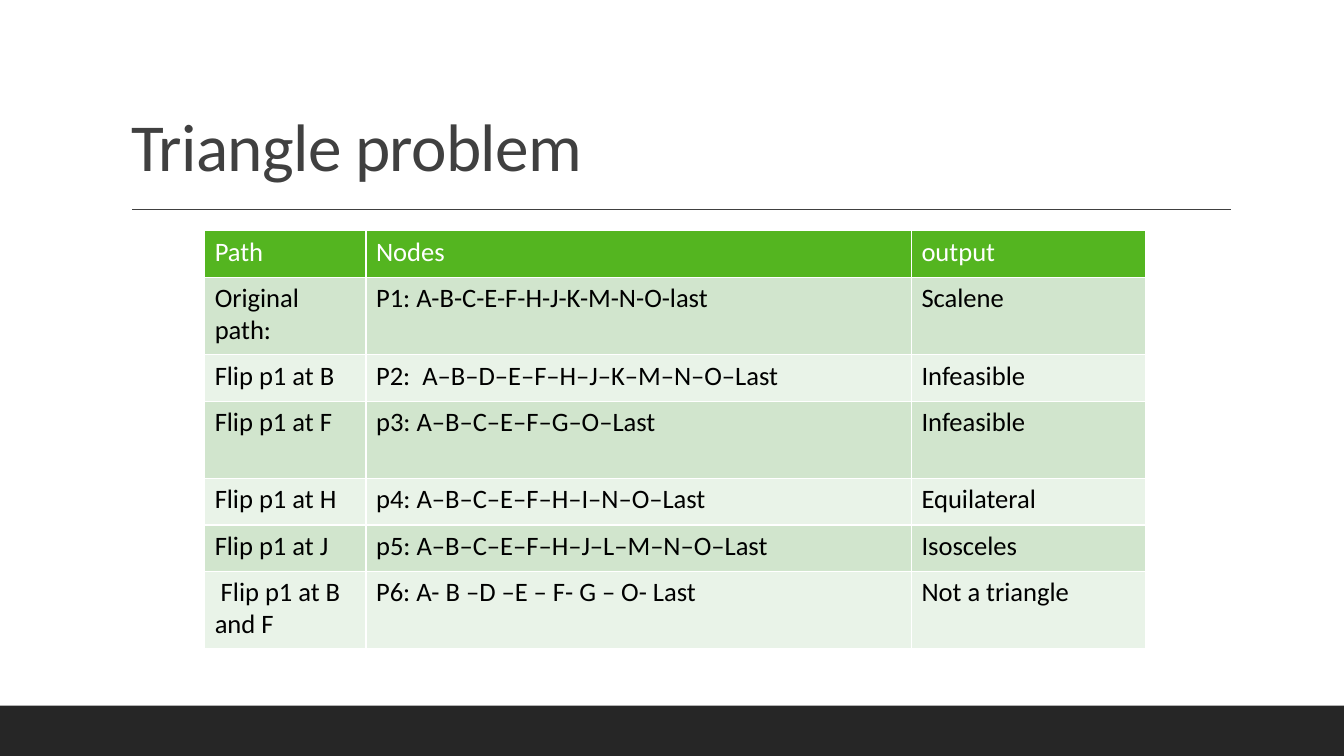
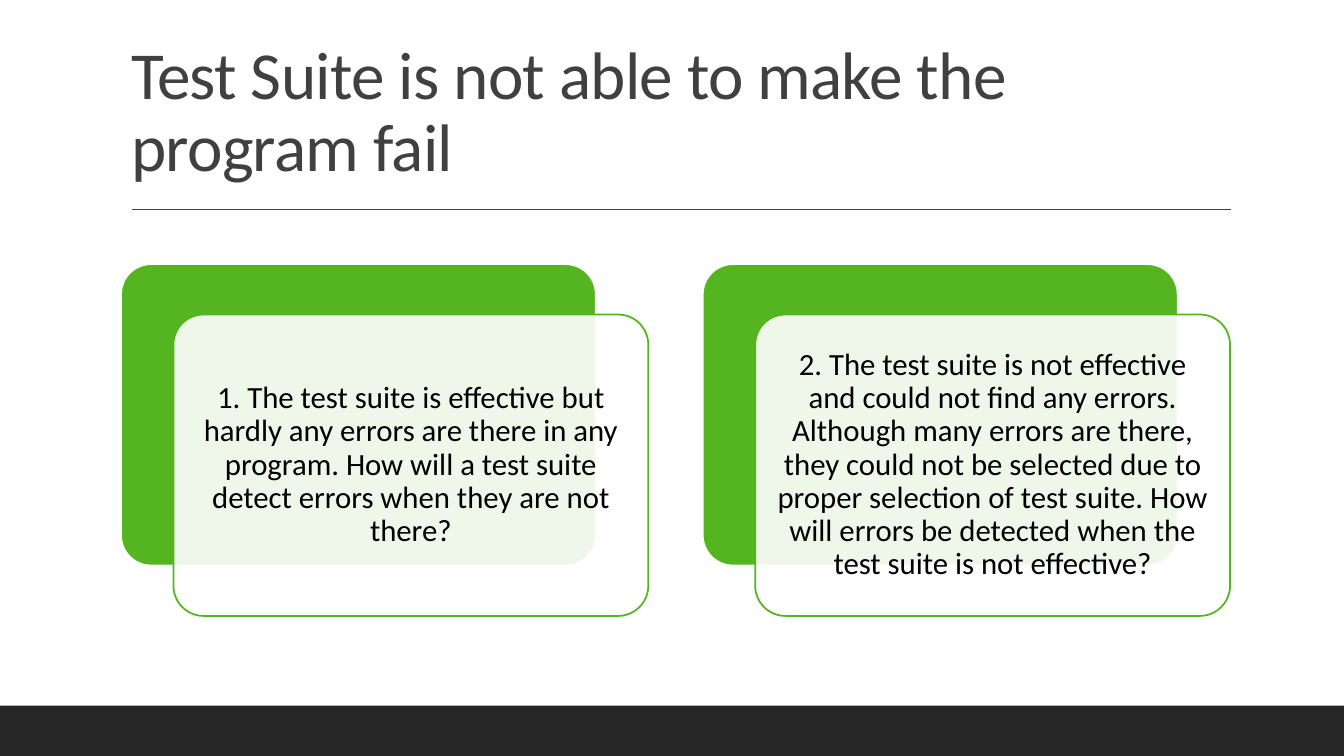
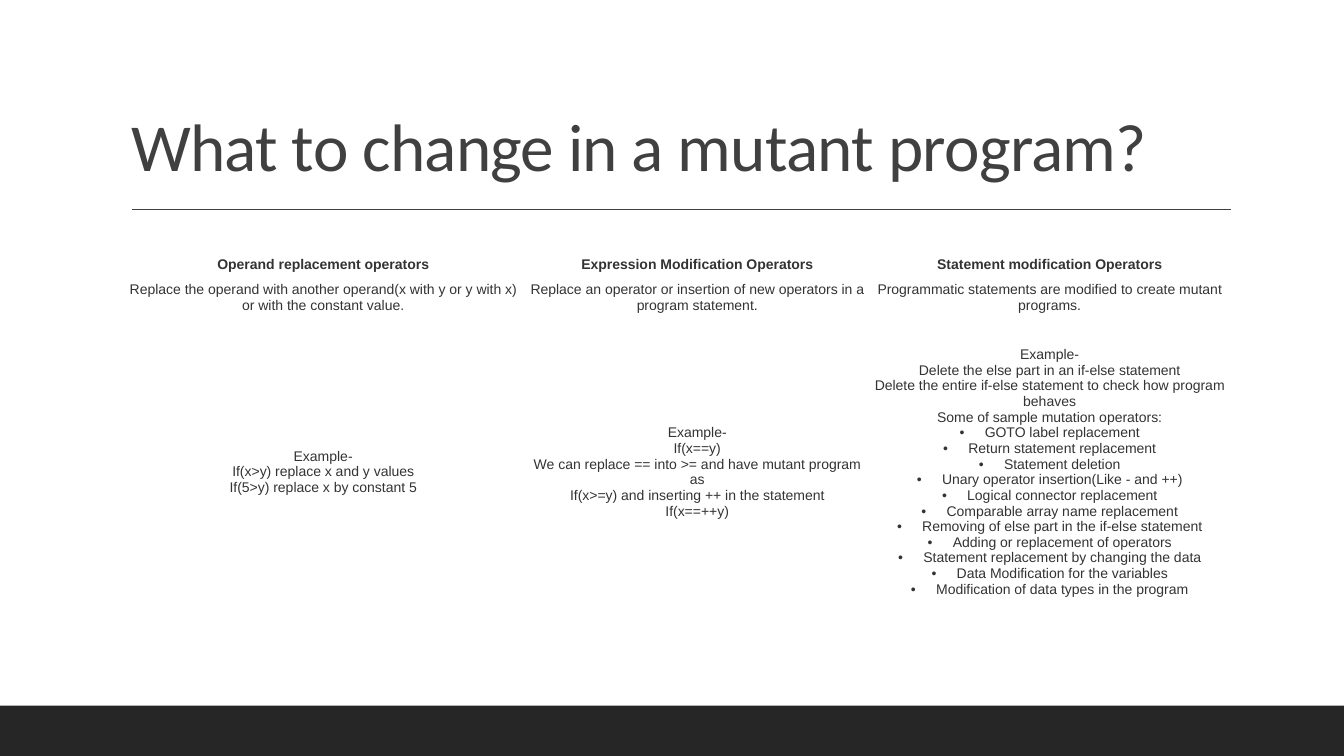
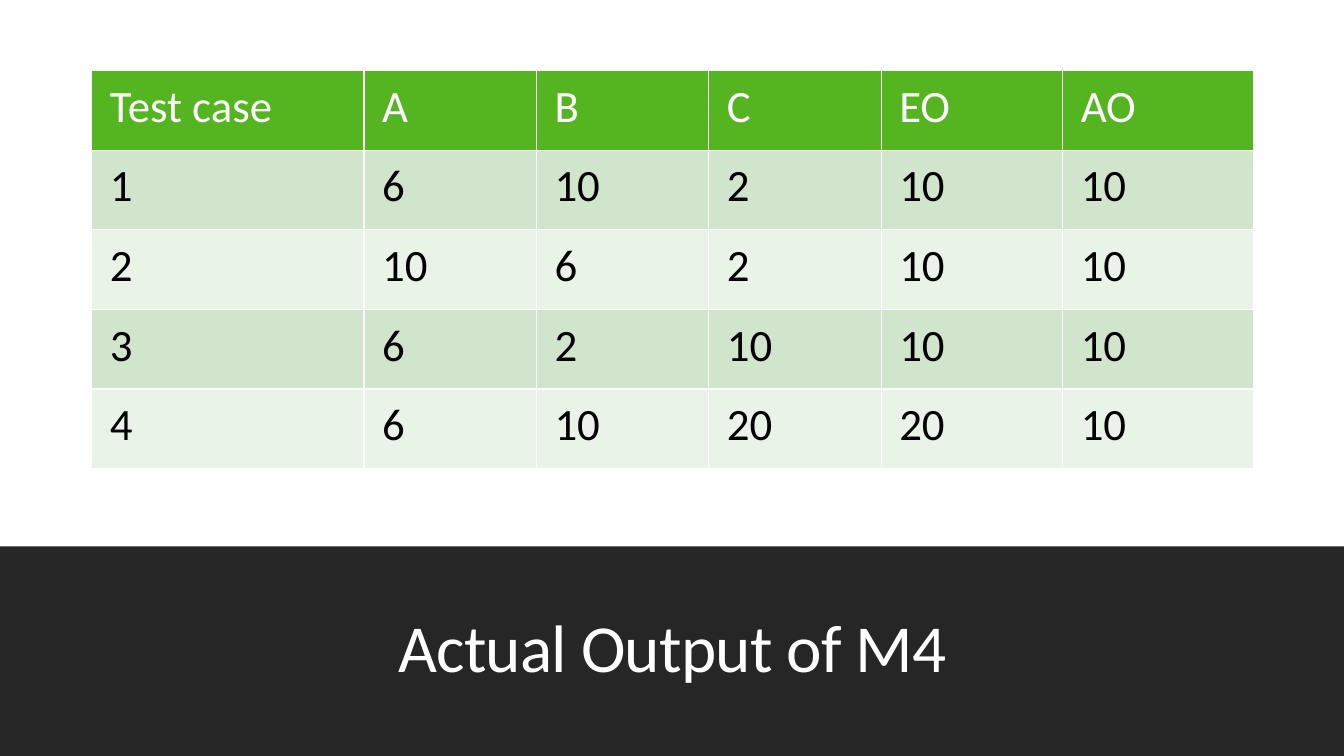
from pptx import Presentation
from pptx.dml.color import RGBColor
from pptx.enum.shapes import MSO_CONNECTOR, MSO_SHAPE
from pptx.enum.text import MSO_ANCHOR, MSO_AUTO_SIZE, PP_ALIGN
from pptx.oxml.ns import qn
from pptx.util import Emu, Pt
from lxml import etree

RECT, ROUND = MSO_SHAPE.RECTANGLE, MSO_SHAPE.ROUNDED_RECTANGLE
STRAIGHT = MSO_CONNECTOR.STRAIGHT
TOP, MIDDLE, BOTTOM = MSO_ANCHOR.TOP, MSO_ANCHOR.MIDDLE, MSO_ANCHOR.BOTTOM
LEFT, CENTER = PP_ALIGN.LEFT, PP_ALIGN.CENTER
NO_FIT = MSO_AUTO_SIZE.NONE

WHITE = RGBColor(0xFF, 0xFF, 0xFF)
BLACK = RGBColor(0, 0, 0)
DARK = RGBColor(0x26, 0x26, 0x26)
GREY = RGBColor(0x40, 0x40, 0x40)
INK = RGBColor(0x33, 0x33, 0x33)
GREEN = RGBColor(0x54, 0xB5, 0x20)
BANDS = (RGBColor(0xE9, 0xF3, 0xE8), RGBColor(0xD1, 0xE5, 0xCD))

WIDE, HIGH = 1333, 750
SCALE = 9144  # EMU in one px, 100 px to the inch
MAIN, SMALL = "Calibri", "Arial"
BULLET = "•"

PATHS = [
    ("Path", "Nodes", "output"),
    ("Original path:", "P1: A-B-C-E-F-H-J-K-M-N-O-last", "Scalene"),
    ("Flip p1 at B", "P2:  A–B–D–E–F–H–J–K–M–N–O–Last", "Infeasible"),
    ("Flip p1 at F", "p3: A–B–C–E–F–G–O–Last", "Infeasible"),
    ("Flip p1 at H", "p4: A–B–C–E–F–H–I–N–O–Last", "Equilateral"),
    ("Flip p1 at J", "p5: A–B–C–E–F–H–J–L–M–N–O–Last", "Isosceles"),
    (" Flip p1 at B and F", "P6: A- B –D –E – F- G – O- Last", "Not a triangle"),
]

CAUSES = [
    "1. The test suite is effective but hardly any errors are there in any "
    "program. How will a test suite detect errors when they are not there?",
    "2. The test suite is not effective and could not find any errors. "
    "Although many errors are there, they could not be selected due to proper "
    "selection of test suite. How will errors be detected when the test suite "
    "is not effective?",
]

# Lines that start with the bullet sign become bulleted paragraphs
MUTANTS = [
    ("Operand replacement operators",
     "Expression Modification Operators",
     "Statement modification Operators"),
    ("Replace the operand with another operand(x with y or y with x) "
     "or with the constant value.",
     "Replace an operator or insertion of new operators in a program statement.",
     "Programmatic statements are modified to create mutant programs."),
    ("Example-\n"
     "If(x>y) replace x and y values\n"
     "If(5>y) replace x by constant 5",
     "Example-\n"
     "If(x==y)\n"
     "We can replace == into >= and have mutant program as\n"
     "If(x>=y) and inserting ++ in the statement\n"
     "If(x==++y)",
     "Example-\n"
     "Delete the else part in an if-else statement\n"
     "Delete the entire if-else statement to check how program behaves\n"
     "Some of sample mutation operators:\n"
     "•GOTO label replacement\n"
     "•Return statement replacement\n"
     "•Statement deletion\n"
     "•Unary operator insertion(Like - and ++)\n"
     "•Logical connector replacement\n"
     "•Comparable array name replacement\n"
     "•Removing of else part in the if-else statement\n"
     "•Adding or replacement of operators\n"
     "•Statement replacement by changing the data\n"
     "•Data Modification for the variables\n"
     "•Modification of data types in the program"),
]

RESULTS = [
    ("Test case", "A", "B", "C", "EO", "AO"),
    ("1", "6", "10", "2", "10", "10"),
    ("2", "10", "6", "2", "10", "10"),
    ("3", "6", "2", "10", "10", "10"),
    ("4", "6", "10", "20", "20", "10"),
]


def px(*sizes):
    return [Emu(size * SCALE) for size in sizes]


def style(para, size, color, font=MAIN, align=LEFT, bold=False):
    para.alignment = align
    for run in para.runs:
        run.font.size, run.font.name = Pt(size), font
        run.font.bold, run.font.color.rgb = bold, color


def inset(item, left, top, right, bottom):
    (item.margin_left, item.margin_top,
     item.margin_right, item.margin_bottom) = px(left, top, right, bottom)


def add_box(slide, kind, box, fill, line=None):
    shape = slide.shapes.add_shape(kind, *px(*box))
    shape.shadow.inherit = False
    shape.fill.solid()
    shape.fill.fore_color.rgb = fill
    if line is None:
        shape.line.fill.background()
    else:
        shape.line.color.rgb, shape.line.width = line, Pt(1.25)
    return shape


def add_band(slide, top):
    """Dark band from top to the slide's lower edge, behind everything."""
    band = add_box(slide, RECT, (0, top, WIDE, HIGH - top), DARK)
    slide.shapes._spTree.insert(2, band._element)


def add_rule(slide):
    rule = slide.shapes.add_connector(STRAIGHT, *px(131, 208, 1221, 208))
    rule.line.color.rgb, rule.line.width = GREY, Pt(1)
    etree.SubElement(rule._element.spPr, qn("a:effectLst"))


def set_title(slide, text, box, color, align):
    title = slide.shapes.title
    title.left, title.top, title.width, title.height = px(*box)
    frame = title.text_frame
    frame.text = text
    frame.word_wrap, frame.auto_size = True, NO_FIT
    frame.vertical_anchor = BOTTOM
    para = frame.paragraphs[0]
    para.line_spacing = 0.9
    style(para, 48, color, align=align)
    para.runs[0].font._element.set("spc", "-50")


def new_slide(deck, text, band=700, box=(120, 31, 1100, 159),
              color=GREY, align=LEFT, rule=True):
    slide = deck.slides.add_slide(deck.slide_layouts[5])
    add_band(slide, band)
    if rule:
        add_rule(slide)
    set_title(slide, text, box, color, align)
    return slide


def add_grid(slide, left, top, cols, rows, data):
    """Bare table with its text; returns its rows of cells."""
    place = px(left, top, sum(cols), sum(rows))
    grid = slide.shapes.add_table(len(rows), len(cols), *place).table
    grid.horz_banding = grid.first_row = False
    for col, width in zip(grid.columns, px(*cols)):
        col.width = width
    for row, height, texts in zip(grid.rows, px(*rows), data):
        row.height = height
        for cell, text in zip(row.cells, texts):
            cell.text_frame.text = text
    return [list(row.cells) for row in grid.rows]


def add_edges(cell):
    props = cell._tc.get_or_add_tcPr()
    for spot, side in enumerate(("lnL", "lnR", "lnT", "lnB")):
        edge = etree.Element(qn("a:" + side), w=str(Pt(1)))
        fill = etree.SubElement(edge, qn("a:solidFill"))
        etree.SubElement(fill, qn("a:srgbClr"), val=str(WHITE))
        props.insert(spot, edge)


def add_banded(slide, left, top, cols, rows, data, size, pad):
    """Green header row over rows in two tints."""
    for at, cells in enumerate(add_grid(slide, left, top, cols, rows, data)):
        for cell in cells:
            cell.fill.solid()
            cell.fill.fore_color.rgb = BANDS[at % 2] if at else GREEN
            cell.vertical_anchor = TOP
            inset(cell, *pad)
            add_edges(cell)
            style(cell.text_frame.paragraphs[0], size, BLACK if at else WHITE)


def add_bullet(para):
    para.text = para.text[len(BULLET):]
    props = para._p.get_or_add_pPr()
    hang = 25 * SCALE
    props.set("marL", str(hang))
    props.set("indent", str(-hang))
    etree.SubElement(props, qn("a:buFont"), typeface=SMALL)
    etree.SubElement(props, qn("a:buChar"), char=BULLET)


def add_plain(slide, left, top, cols, rows, data):
    """Centred table without fills, bold in its first row."""
    for at, cells in enumerate(add_grid(slide, left, top, cols, rows, data)):
        for cell in cells:
            cell.fill.background()
            cell.vertical_anchor = MIDDLE
            inset(cell, 4, 2, 4, 18 if at else 2)
            for para in cell.text_frame.paragraphs:
                if para.text.startswith(BULLET):
                    add_bullet(para)
                style(para, 10, INK, SMALL, CENTER, bold=not at)


def add_card(slide, left, top, text):
    """White card laid over a green one, a step right and down."""
    wide, high = 471, 299
    back = add_box(slide, ROUND, (left, top, wide, high), GREEN, WHITE)
    card = add_box(slide, ROUND, (left + 52, top + 50, wide, high), WHITE, GREEN)
    back.adjustments[0] = card.adjustments[0] = 0.1
    tint = card.fill._xPr.find(qn("a:solidFill"))[0]
    etree.SubElement(tint, qn("a:alpha"), val="90000")
    frame = card.text_frame
    frame.text = text
    frame.word_wrap, frame.vertical_anchor = True, MIDDLE
    inset(frame, 9, 9, 9, 9)
    frame.paragraphs[0].line_spacing = 0.9
    style(frame.paragraphs[0], 22, BLACK, align=CENTER)


def main():
    deck = Presentation()
    deck.slide_width, deck.slide_height = px(WIDE, HIGH)

    # Paths of the triangle problem
    slide = new_slide(deck, "Triangle problem")
    add_banded(slide, 203, 229, (160, 541, 232), (46, 77, 46, 77, 46, 46, 77),
               PATHS, 19, (10, 5, 10, 5))

    # Two causes side by side
    slide = new_slide(deck, "Test Suite is not able to make the program fail")
    for at, text in enumerate(CAUSES):
        add_card(slide, 120 + 577 * at, 262, text)

    # Kinds of mutation operator
    slide = new_slide(deck, "What to change in a mutant program?")
    add_plain(slide, 120, 251, (401, 341, 358), (24, 57, 289), MUTANTS)

    # Test results over a tall band
    slide = new_slide(deck, "Actual Output of M4", 542, (117, 574, 1100, 113),
                      WHITE, CENTER, rule=False)
    add_banded(slide, 91, 70, (270, 171, 171, 171, 180, 189), [79] * 5,
               RESULTS, 32, (18, 9, 18, 9))

    deck.save("out.pptx")


if __name__ == "__main__":
    main()
